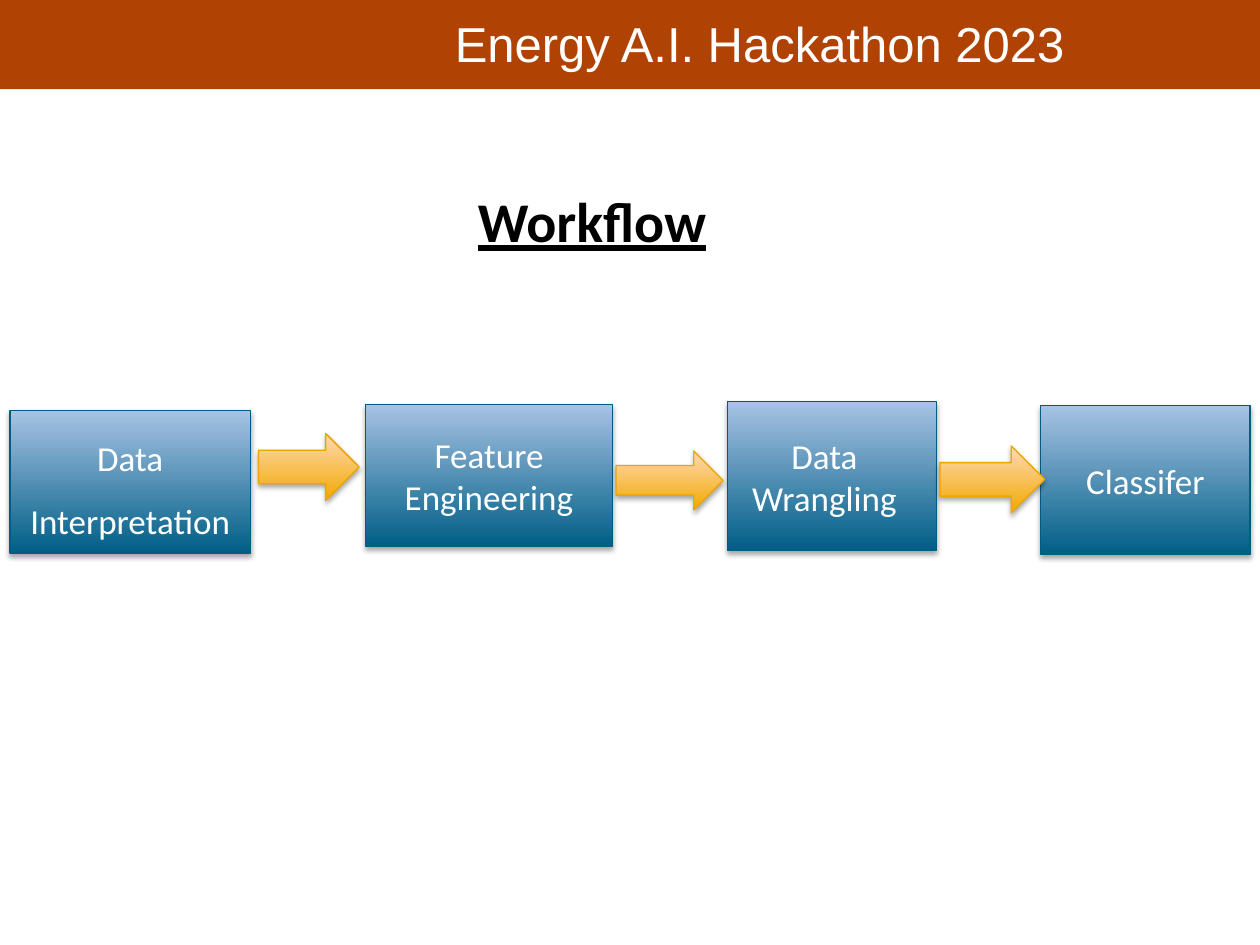
import pptx
import pptx.util
import pptx.dml.color
import pptx.enum.shapes
import pptx.enum.text
import pptx.oxml
import pptx.oxml.ns

Cm, Pt = pptx.util.Cm, pptx.util.Pt
SHAPE = pptx.enum.shapes.MSO_SHAPE
ALIGN = pptx.enum.text.PP_ALIGN
ANCHOR = pptx.enum.text.MSO_ANCHOR

COLORS = {
    "header": "B04304", "white": "FFFFFF", "black": "000000",
    "step_low": "005E86", "step_high": "A7C3E4", "step_line": "005C83",
    "arrow_low": "F2A900", "arrow_high": "FFD9B6", "arrow_line": "EDA500",
}


def rgb(name):
    return pptx.dml.color.RGBColor.from_string(COLORS[name])


def place(box):
    return [Cm(v) for v in box]


def style_font(p, size, font, color):
    for r in p.runs:
        r.font.size = Pt(size)
        r.font.name = font
        r.font.color.rgb = rgb(color)


def add_shadow(sp):
    sp.shadow.inherit = False
    effects = sp._element.spPr.find(pptx.oxml.ns.qn("a:effectLst"))
    effects.append(pptx.oxml.parse_xml(
        f'<a:outerShdw {pptx.oxml.ns.nsdecls("a")} blurRad="{Pt(3.1)}" dist="{Pt(1.8)}" '
        'dir="5400000" rotWithShape="0"><a:srgbClr val="000000">'
        '<a:alpha val="35000"/></a:srgbClr></a:outerShdw>'))


def add_gradient_shape(slide, kind, box, palette):
    sp = slide.shapes.add_shape(kind, *place(box))
    sp.fill.gradient()
    sp.fill.gradient_angle = 90
    for stop, level in zip(sp.fill.gradient_stops, ("low", "high")):
        stop.color.rgb = rgb(f"{palette}_{level}")
    sp.line.color.rgb = rgb(f"{palette}_line")
    sp.line.width = Pt(0.75)
    add_shadow(sp)
    return sp


def add_header(slide, box, text):
    x, y, w, h = box
    bar = slide.shapes.add_shape(SHAPE.RECTANGLE, *place(box))
    bar.shadow.inherit = False
    bar.fill.solid()
    bar.fill.fore_color.rgb = rgb("header")
    bar.line.fill.background()
    tf = slide.shapes.add_textbox(*place((x + 8.92, y + 0.17, 12.95, 1.45))).text_frame
    tf.word_wrap = False
    tf.text = text
    style_font(tf.paragraphs[0], 28, "Arial", "white")


def add_title(slide, box, text):
    tf = slide.shapes.add_textbox(*place(box)).text_frame
    tf.word_wrap = True
    tf.text = text
    p = tf.paragraphs[0]
    p.alignment = ALIGN.CENTER
    style_font(p, 32, "Calibri", "black")
    p.runs[0].font.bold = True
    p.runs[0].font.underline = True


def add_step(slide, box, lines, gap=0, top=0.13, right=0.25):
    tf = add_gradient_shape(slide, SHAPE.RECTANGLE, box, "step").text_frame
    tf.word_wrap = True
    tf.vertical_anchor = ANCHOR.MIDDLE
    tf.margin_top, tf.margin_right = Cm(top), Cm(right)
    tf.text = "\n".join(lines)
    for i, p in enumerate(tf.paragraphs):
        p.alignment = ALIGN.CENTER
        p.space_before = Pt(gap if i else 0)
        style_font(p, 20, "Calibri", "white")


def add_workflow(slide, box):
    x, y, w, h = box
    # Process steps: offset in the box, size, lines, text layout
    steps = [
        (0, 0.18, 4.85, 2.87, ["Data", "Interpretation"], {"gap": 12, "top": 0.4}),
        (7.17, 0.05, 4.98, 2.87, ["Feature Engineering"], {}),
        (14.46, 0, 4.22, 3, ["Data", "Wrangling"], {"right": 0.55}),
        (20.78, 0.08, 4.22, 3, ["Classifer"], {}),
    ]
    for dx, dy, sw, sh, lines, layout in steps:
        add_step(slide, (x + dx, y + dy, sw, sh), lines, **layout)
    # Arrows between the steps
    arrows = [(5.01, 0.64, 2.03, 1.35), (12.22, 0.99, 2.16, 1.19), (18.75, 0.89, 2.11, 1.35)]
    for dx, dy, aw, ah in arrows:
        add_gradient_shape(slide, SHAPE.RIGHT_ARROW, (x + dx, y + dy, aw, ah), "arrow")


prs = pptx.Presentation()
prs.slide_width, prs.slide_height = Cm(25.4), Cm(19.05)
s = prs.slides.add_slide(prs.slide_layouts[6])
add_header(s, (0, -0.02, 25.4, 1.82), "Energy A.I. Hackathon 2023")
add_title(s, (0.76, 3.63, 22.35, 2.49), "Workflow")
add_workflow(s, (0.2, 8.1, 25, 3.08))
prs.save("out.pptx")
